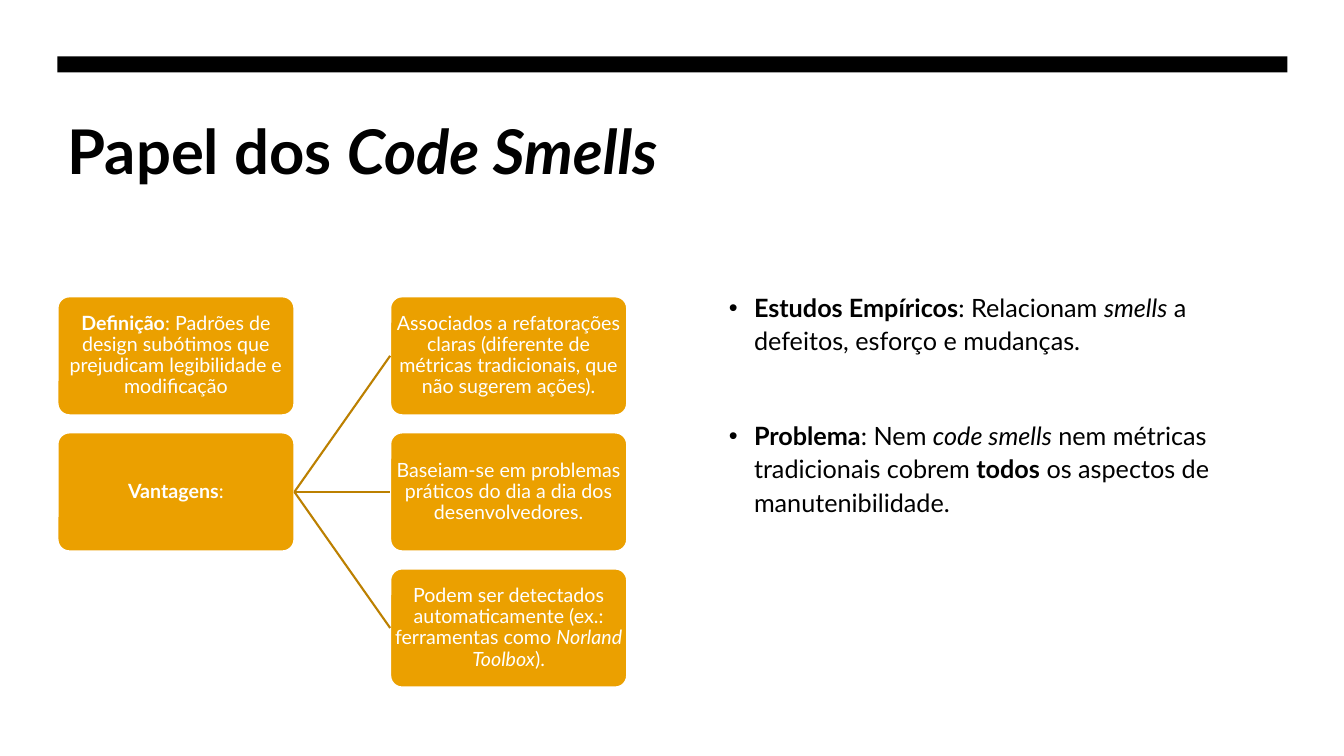
from lxml import etree
from pptx import Presentation
from pptx.dml.color import RGBColor
from pptx.enum.shapes import MSO_CONNECTOR, MSO_SHAPE
from pptx.enum.text import MSO_ANCHOR, MSO_AUTO_SIZE, PP_ALIGN
from pptx.oxml.ns import qn
from pptx.util import Inches, Pt

BLACK = RGBColor(0x00, 0x00, 0x00)
WHITE = RGBColor(0xFF, 0xFF, 0xFF)
AMBER = RGBColor(0xEB, 0xA0, 0x00)
DARK_AMBER = RGBColor(0xBC, 0x80, 0x00)

STRAIGHT = MSO_CONNECTOR.STRAIGHT
RECTANGLE, ROUNDED = MSO_SHAPE.RECTANGLE, MSO_SHAPE.ROUNDED_RECTANGLE
TOP, MIDDLE = MSO_ANCHOR.TOP, MSO_ANCHOR.MIDDLE
LEFT, CENTER = PP_ALIGN.LEFT, PP_ALIGN.CENTER
NO_FIT = MSO_AUTO_SIZE.NONE
RIGHT_SITE, LEFT_SITE = 3, 1  # connection sites of a rounded rectangle

PLAIN, BOLD, ITALIC, BOLD_ITALIC = (False, False), (True, False), (False, True), (True, True)


class SlideBuilder:
    """Holds the style and the current slide; lengths are in inches."""

    font = "Lato"
    margin, content_width = 0.57, 12.2
    grid_top, column_step, row_step = 2.94, 3.3, 1.35
    box_width, box_height = 2.35, 1.18

    def __init__(self, presentation):
        self.slide = presentation.slides.add_slide(presentation.slide_layouts[5])
        self.shapes = self.slide.shapes

    def add_parts(self, paragraph, parts, size, color):
        for text, (bold, italic) in parts:
            run = paragraph.add_run()
            run.text = text
            run.font.name, run.font.size = self.font, Pt(size)
            run.font.bold, run.font.italic = bold, italic
            run.font.color.rgb = color

    def title(self, parts):
        title = self.shapes.title
        title.left, title.top = Inches(self.margin), Inches(1.07)
        title.width, title.height = Inches(self.content_width), Inches(1.6)
        frame = title.text_frame
        frame.auto_size, frame.vertical_anchor = NO_FIT, TOP
        frame.paragraphs[0].alignment = LEFT
        self.add_parts(frame.paragraphs[0], parts, 44, BLACK)

    def bar(self, top, height):
        bar = self.shapes.add_shape(RECTANGLE, Inches(self.margin), Inches(top),
                                    Inches(self.content_width), Inches(height))
        bar.shadow.inherit = False
        bar.fill.solid()
        bar.fill.fore_color.rgb = BLACK
        bar.line.fill.background()

    def box(self, column, row, parts):
        box = self.shapes.add_shape(
            ROUNDED,
            Inches(self.margin + column * self.column_step),
            Inches(self.grid_top + row * self.row_step),
            Inches(self.box_width), Inches(self.box_height))
        box.adjustments[0] = 0.1
        box.shadow.inherit = False
        box.fill.solid()
        box.fill.fore_color.rgb = AMBER
        box.line.color.rgb, box.line.width = WHITE, Pt(1.5)
        frame = box.text_frame
        frame.word_wrap, frame.vertical_anchor = True, MIDDLE
        frame.margin_left = frame.margin_right = Inches(0.01)
        frame.margin_top = frame.margin_bottom = Inches(0.01)
        paragraph = frame.paragraphs[0]
        paragraph.alignment, paragraph.line_spacing = CENTER, 0.9
        self.add_parts(paragraph, parts, 14, WHITE)
        return box

    def link(self, source, target):
        line = self.shapes.add_connector(STRAIGHT, 0, 0, 0, 0)
        line.begin_connect(source, RIGHT_SITE)
        line.end_connect(target, LEFT_SITE)
        line.line.color.rgb, line.line.width = DARK_AMBER, Pt(1.5)
        etree.SubElement(line._element.spPr, qn("a:effectLst"))

    def bullets(self, left, top, width, height, items):
        text_box = self.shapes.add_textbox(Inches(left), Inches(top), Inches(width), Inches(height))
        frame = text_box.text_frame
        frame.word_wrap = True
        for index, parts in enumerate(items):
            paragraph = frame.add_paragraph() if index else frame.paragraphs[0]
            paragraph.line_spacing = 1.1
            paragraph.space_before = Pt(44 if index else 10)
            properties = paragraph._p.get_or_add_pPr()
            properties.set("marL", str(Inches(0.25)))
            properties.set("indent", str(-Inches(0.25)))
            etree.SubElement(properties, qn("a:buFont"), typeface="Arial")
            etree.SubElement(properties, qn("a:buChar"), char="•")
            self.add_parts(paragraph, parts, 18, BLACK)


def main():
    presentation = Presentation()
    presentation.slide_width, presentation.slide_height = Inches(13.33), Inches(7.5)
    builder = SlideBuilder(presentation)

    # Heading
    builder.bar(0.56, 0.16)
    builder.title([("Papel dos ", BOLD), ("Code Smells", BOLD_ITALIC)])

    # Definition and advantages tree
    builder.box(0, 0, [
        ("Definição", BOLD),
        (": Padrões de design subótimos que prejudicam legibilidade e modificação", PLAIN)])
    advantages = builder.box(0, 1, [("Vantagens", BOLD), (":", PLAIN)])
    reasons = [
        [("Associados a refatorações claras (diferente de métricas tradicionais, "
          "que não sugerem ações).", PLAIN)],
        [("Baseiam-se em problemas práticos do dia a dia dos desenvolvedores.", PLAIN)],
        [("Podem ser detectados automaticamente (ex.: ferramentas como ", PLAIN),
         ("Norland Toolbox", ITALIC), (").", PLAIN)],
    ]
    for row, reason in enumerate(reasons):
        builder.link(advantages, builder.box(1, row, reason))

    # Evidence and open problem
    builder.bullets(7.13, 2.82, 5.65, 4.12, [
        [("Estudos Empíricos", BOLD), (": Relacionam ", PLAIN), ("smells", ITALIC),
         (" a defeitos, esforço e mudanças.", PLAIN)],
        [("Problema", BOLD), (": Nem ", PLAIN), ("code smells", ITALIC),
         (" nem métricas tradicionais cobrem ", PLAIN), ("todos", BOLD),
         (" os aspectos de manutenibilidade.", PLAIN)],
    ])

    presentation.save("out.pptx")


if __name__ == "__main__":
    main()
